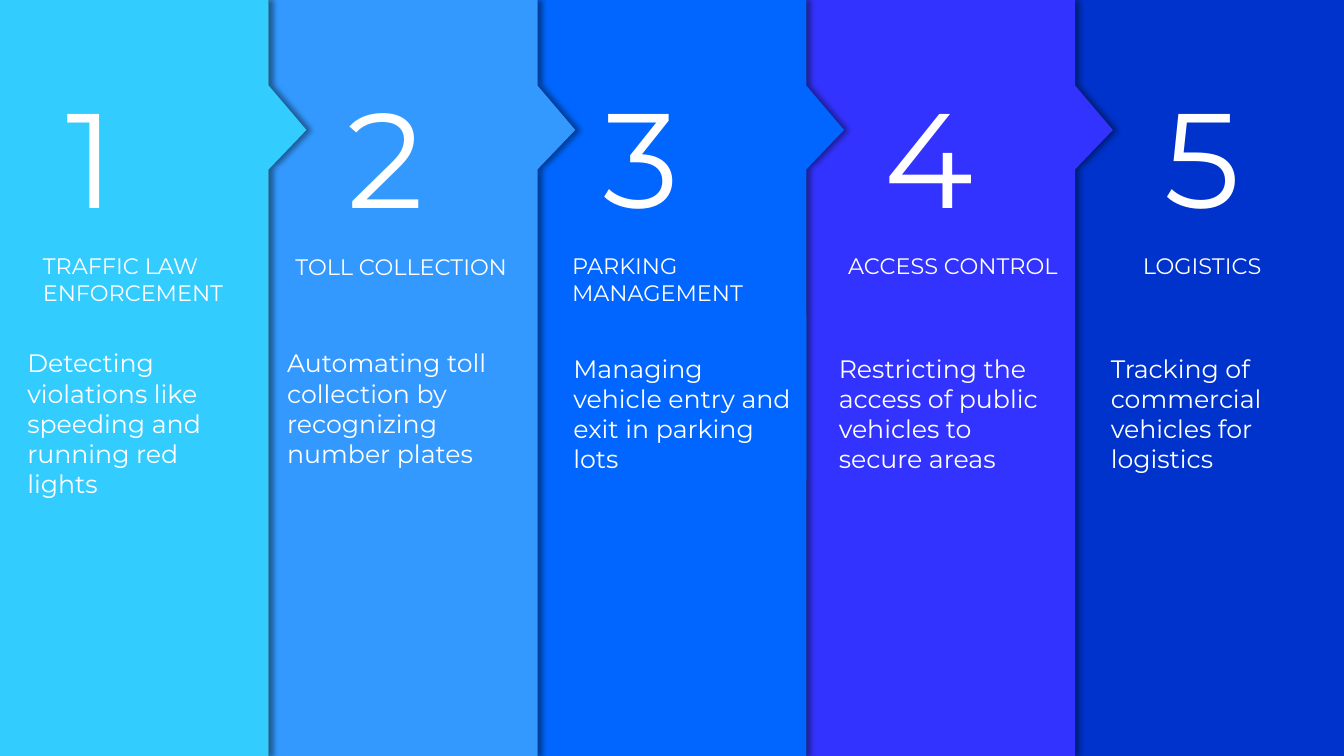
from dataclasses import dataclass

from lxml.etree import SubElement
from pptx import Presentation
from pptx.dml.color import RGBColor as Color
from pptx.enum.shapes import MSO_SHAPE as Preset
from pptx.enum.text import MSO_ANCHOR as Anchor, PP_ALIGN as Align
from pptx.oxml.ns import qn
from pptx.shapes.autoshape import Shape
from pptx.slide import Slide
from pptx.util import Inches, Length, Pt


@dataclass(frozen=True)
class Theme:
    font: str = "Montserrat"
    text: str = "FFFFFF"
    background: str = "404040"
    shadow: str = "000000"
    number_size: int = 96
    heading_size: int = 16
    body_size: int = 18


@dataclass(frozen=True)
class Label:
    """A text block: left and width in column cells, top and height in rows."""
    text: str
    size: int
    left: float
    top: float
    width: float
    height: float
    inset_left: float = 3.75
    inset_top: float = 1
    align: Align = Align.LEFT


@dataclass(frozen=True)
class Panel:
    color: str
    labels: tuple[Label, ...]


THEME = Theme()
SLIDE_WIDTH, SLIDE_HEIGHT = Inches(13.33), Inches(7.5)
PANEL_COUNT, CELLS, ROWS = 5, 100, 150
ARROW_TOP, ARROW_MIDDLE, ARROW_BOTTOM = 17, 25.8, 33.6
ARROW_REACH = 14
WIDE, NARROW = 90.4, 81


def number(text: str, left: float) -> Label:
    return Label(text, THEME.number_size, left, 8.4, NARROW, 40.8, 19.5, 6.4)


def heading(text: str, left: float, width: float = WIDE, top: float = 49,
            height: float = 12.8, inset: float = 3.75,
            align: Align = Align.LEFT) -> Label:
    return Label(text, THEME.heading_size, left, top, width, height,
                 inset, align=align)


def body(text: str, left: float, top: float, width: float = WIDE,
         height: float = 32.4) -> Label:
    return Label(text, THEME.body_size, left, top, width, height,
                 inset_top=7.2)


PANELS = [
    Panel("33CCFF", (
        number("1", 5.2),
        heading("TRAFFIC LAW ENFORCEMENT", 12.2, NARROW),
        body("Detecting violations like speeding and running red lights",
             6.4, 61.8, NARROW, 38.4))),
    Panel("3399FF", (
        number("2", 9.6),
        heading("TOLL COLLECTION", 6.2, top=49.2),
        body("Automating toll collection by recognizing number plates",
             3.1, 61.8))),
    Panel("0066FF", (
        number("3", 5.1),
        heading("PARKING MANAGEMENT", 9.1),
        body("Managing vehicle entry and exit in parking lots", 9.6, 62.8))),
    Panel("3333FF", (
        number("4", 9.7),
        heading("ACCESS CONTROL", 7.1, inset=8.1, align=Align.CENTER),
        body("Restricting the access of public vehicles to secure areas",
             8.3, 62.8))),
    Panel("0033CC", (
        number("5", 13.6),
        heading("LOGISTICS", 3.9, height=7.4, inset=21.3),
        body("Tracking of commercial vehicles for logistics", 9.5, 62.8))),
]


def across(cells: float) -> Length:
    return Length(round(SLIDE_WIDTH * cells / (PANEL_COUNT * CELLS)))


def down(rows: float) -> Length:
    return Length(round(SLIDE_HEIGHT * rows / ROWS))


def paint(shape: Shape, color: str) -> None:
    shape.fill.solid()
    shape.fill.fore_color.rgb = Color.from_string(color)
    shape.line.fill.background()
    shape.shadow.inherit = False


def add_band(page: Slide, left: float, color: str) -> None:
    """Draw a full-height band whose arrow points into the next column."""
    right = left + CELLS
    points = [(right, 0)]
    if right < PANEL_COUNT * CELLS:
        points += [(right, ARROW_TOP), (right + ARROW_REACH, ARROW_MIDDLE),
                   (right, ARROW_BOTTOM)]
    points += [(right, ROWS), (left, ROWS)]
    builder = page.shapes.build_freeform(across(left), 0)
    builder.add_line_segments([(across(x), down(y)) for x, y in points])
    band = builder.convert_to_shape()
    paint(band, color)
    effects = band._element.spPr.find(qn("a:effectLst"))
    shadow = SubElement(effects, qn("a:outerShdw"), blurRad=str(Pt(4)),
                        dist=str(Pt(3)), dir="0", algn="l", rotWithShape="0")
    shade = SubElement(shadow, qn("a:srgbClr"), val=THEME.shadow)
    SubElement(shade, qn("a:alpha"), val="40000")


def add_label(page: Slide, left: float, label: Label, color: str) -> None:
    box = page.shapes.add_shape(
        Preset.RECTANGLE, across(left + label.left), down(label.top),
        across(label.width), down(label.height))
    paint(box, color)
    frame = box.text_frame
    frame.word_wrap = True
    frame.vertical_anchor = Anchor.TOP
    frame.margin_left = across(label.inset_left)
    frame.margin_top = down(label.inset_top)
    para = frame.paragraphs[0]
    para.text = label.text
    para.alignment = label.align
    para.font.name = THEME.font
    para.font.size = Pt(label.size)
    para.font.color.rgb = Color.from_string(THEME.text)


def main() -> None:
    deck = Presentation()
    deck.slide_width, deck.slide_height = SLIDE_WIDTH, SLIDE_HEIGHT
    page = deck.slides.add_slide(deck.slide_layouts.get_by_name("Blank"))
    page.background.fill.solid()
    page.background.fill.fore_color.rgb = Color.from_string(THEME.background)
    # Right to left, so each arrow lies over the next band.
    for column, panel in reversed(list(enumerate(PANELS))):
        left = column * CELLS
        add_band(page, left, panel.color)
        for label in panel.labels:
            add_label(page, left, label, panel.color)
    deck.save("out.pptx")


if __name__ == "__main__":
    main()
